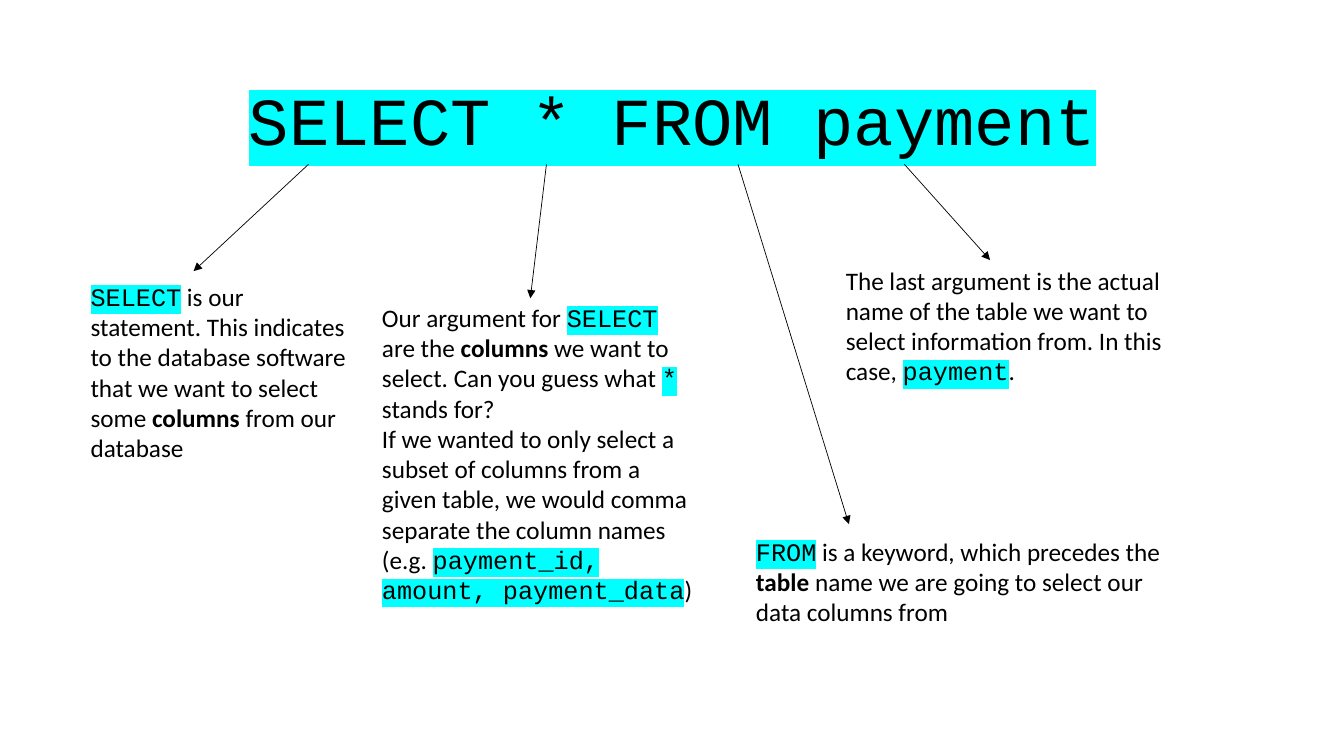
"""Build a slide that explains each part of a simple SQL query."""
from dataclasses import dataclass

from lxml import etree
from pptx import Presentation
from pptx.dml.color import RGBColor
from pptx.enum.shapes import MSO_CONNECTOR
from pptx.enum.text import MSO_ANCHOR, MSO_AUTO_SIZE, PP_ALIGN
from pptx.oxml.ns import qn
from pptx.slide import Slide
from pptx.text.text import _Paragraph as Para
from pptx.util import Inches, Pt

STRAIGHT = MSO_CONNECTOR.STRAIGHT
TOP = MSO_ANCHOR.TOP
NO_FIT = MSO_AUTO_SIZE.NONE
GROW = MSO_AUTO_SIZE.SHAPE_TO_FIT_TEXT
CENTER = PP_ALIGN.CENTER

BLACK = RGBColor(0x00, 0x00, 0x00)
CYAN = RGBColor(0x00, 0xFF, 0xFF)
BODY = "Calibri"
MONO = "Courier New"
TITLE_ONLY = 5
START = 1.63


@dataclass(frozen=True)
class Span:
    """A run of text, plain, bold or code."""
    text: str
    bold: bool = False
    code: bool = False


@dataclass(frozen=True)
class Note:
    """A text box and the arrow that leads to it from the query."""
    left: float
    top: float
    width: float
    height: float
    tail: float
    tip: tuple[float, float]
    paras: list[list[Span]]


def code(text: str) -> Span:
    """Make a code span."""
    return Span(text, code=True)


def bold(text: str) -> Span:
    """Make a bold span."""
    return Span(text, bold=True)


NOTES = [
    Note(0.8, 2.74, 2.76, 2.22, 3.06, (1.92, 2.69), [[
        code("SELECT"),
        Span(" is our statement. This indicates to the database software "
             "that we want to select some "),
        bold("columns"),
        Span(" from our database"),
    ]]),
    Note(3.69, 2.95, 3.31, 3.43, 5.42, (5.26, 2.96), [[
        Span("Our argument for "),
        code("SELECT"),
        Span(" are the "),
        bold("columns"),
        Span(" we want to select. Can you guess what "),
        code("*"),
        Span(" stands for?"),
    ], [
        Span("If we wanted to only select a subset of columns from a given "
             "table, we would comma separate the column names (e.g. "),
        code("payment_id, amount, payment_data"),
        Span(")"),
    ]]),
    Note(7.4, 5.27, 4.5, 1.01, 7.32, (8.42, 5.2), [[
        code("FROM"),
        Span(" is a keyword, which precedes the "),
        bold("table"),
        Span(" name we are going to select our data columns from"),
    ]]),
    Note(8.29, 2.58, 3.55, 1.62, 8.97, (9.82, 2.58), [[
        Span("The last argument is the actual name of the table we want to "
             "select information from. In this case, "),
        code("payment"),
        Span("."),
    ]]),
]


def add_span(para: Para, span: Span, size: int) -> None:
    """Add one run, with a highlight behind code."""
    run = para.add_run()
    run.text = span.text
    font = run.font
    font.size = Pt(size)
    font.bold = span.bold
    font.color.rgb = BLACK
    if span.code:
        mark = etree.SubElement(run._r.get_or_add_rPr(), qn("a:highlight"))
        etree.SubElement(mark, qn("a:srgbClr"), val=str(CYAN))
    font.name = MONO if span.code else BODY


def add_title(slide: Slide) -> None:
    """Put the query in the title placeholder."""
    title = slide.shapes.title
    title.left, title.top = Inches(0.92), Inches(0.82)
    title.width, title.height = Inches(11.5), Inches(4.76)
    frame = title.text_frame
    frame.word_wrap = True
    frame.auto_size = NO_FIT
    frame.vertical_anchor = TOP
    para = frame.paragraphs[0]
    para.alignment = CENTER
    para.line_spacing = 0.9
    para.space_before = Pt(10)
    add_span(para, code("SELECT * FROM payment"), 48)


def add_arrow(slide: Slide, note: Note) -> None:
    """Draw the arrow from the query to a note."""
    x, y = note.tip
    arrow = slide.shapes.add_connector(
        STRAIGHT, Inches(note.tail), Inches(START), Inches(x), Inches(y))
    arrow.line.color.rgb = BLACK
    arrow.line.width = Pt(0.5)
    props = arrow._element.spPr
    etree.SubElement(props.find(qn("a:ln")), qn("a:tailEnd"), type="triangle")
    etree.SubElement(props, qn("a:effectLst"))


def add_note(slide: Slide, note: Note) -> None:
    """Add the text box of a note."""
    box = slide.shapes.add_textbox(
        Inches(note.left), Inches(note.top),
        Inches(note.width), Inches(note.height))
    frame = box.text_frame
    frame.word_wrap = True
    frame.auto_size = GROW
    for i, spans in enumerate(note.paras):
        para = frame.add_paragraph() if i else frame.paragraphs[0]
        for span in spans:
            add_span(para, span, 18)


def main() -> None:
    """Build and save the deck."""
    deck = Presentation()
    deck.slide_width, deck.slide_height = Inches(13.33), Inches(7.5)
    slide = deck.slides.add_slide(deck.slide_layouts[TITLE_ONLY])
    add_title(slide)
    for note in NOTES:
        add_arrow(slide, note)
        add_note(slide, note)
    deck.save("out.pptx")


if __name__ == "__main__":
    main()
